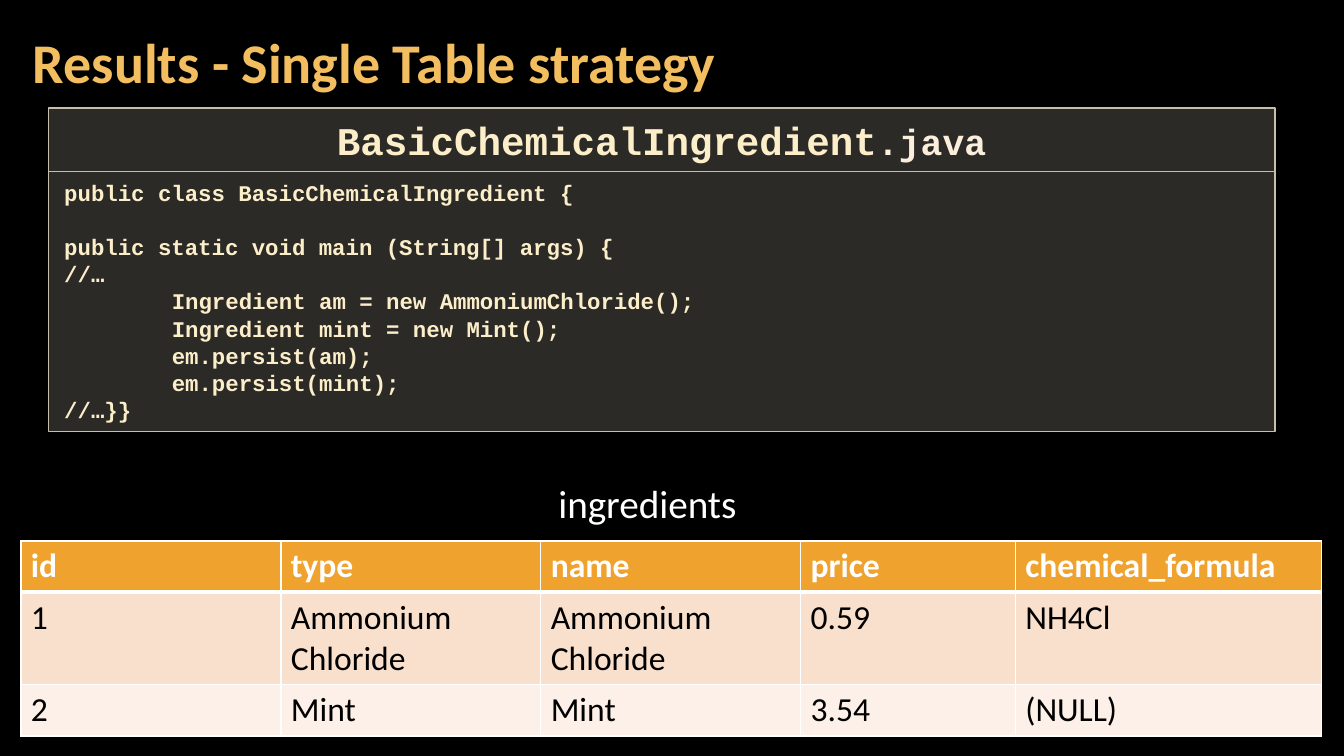
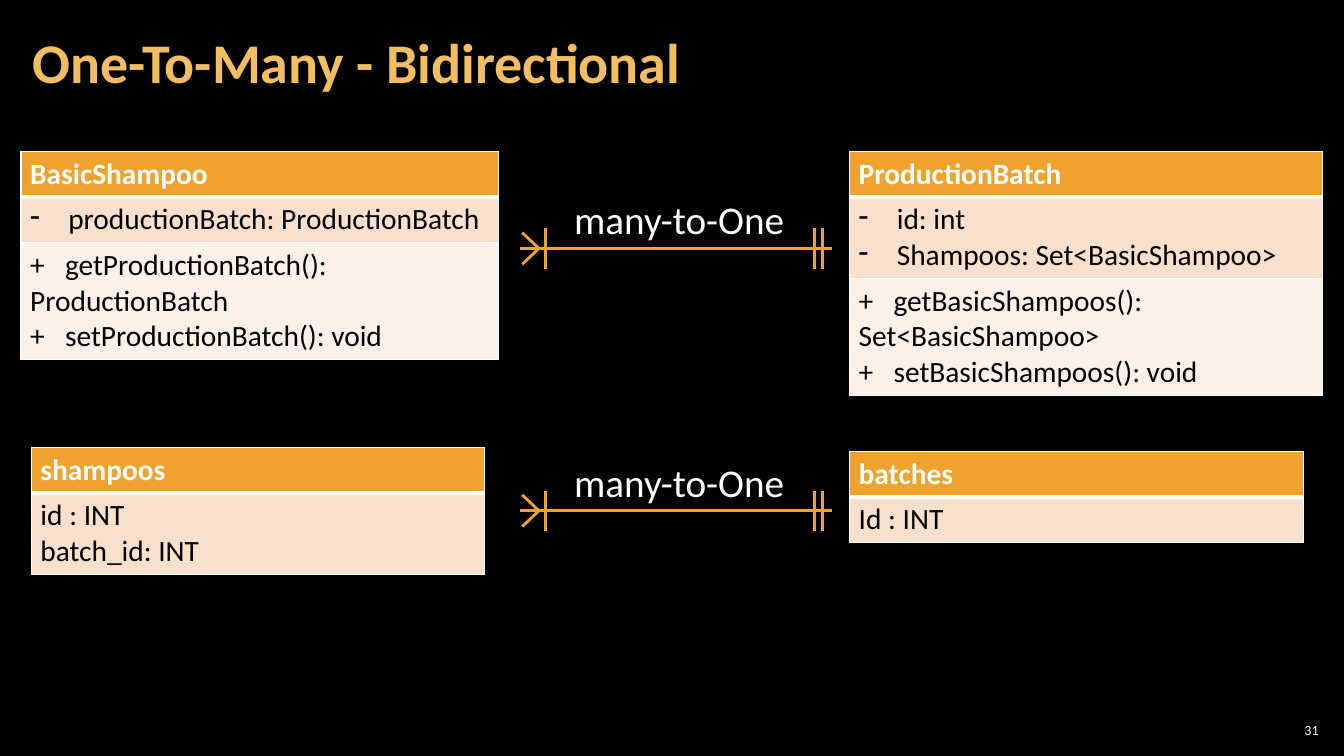
from dataclasses import dataclass

from lxml import etree
from pptx import Presentation
from pptx.dml.color import RGBColor
from pptx.enum.shapes import MSO_CONNECTOR, MSO_SHAPE
from pptx.enum.text import MSO_ANCHOR, MSO_AUTO_SIZE, PP_ALIGN
from pptx.oxml.ns import qn
from pptx.util import Cm, Pt

STRAIGHT = MSO_CONNECTOR.STRAIGHT
RECTANGLE = MSO_SHAPE.RECTANGLE
TOP, MIDDLE = MSO_ANCHOR.TOP, MSO_ANCHOR.MIDDLE
LEFT, CENTER, RIGHT = PP_ALIGN.LEFT, PP_ALIGN.CENTER, PP_ALIGN.RIGHT
NO_AUTOFIT = MSO_AUTO_SIZE.NONE
TITLE_ONLY = 5


@dataclass(frozen=True)
class Theme:
    body_font: str = "Calibri"
    code_font: str = "Courier New"
    background: str = "000000"
    title: str = "F3BE60"
    accent: str = "F0A22E"
    light: str = "FFFFFF"
    dark: str = "000000"
    bands: tuple = ("F9E0CD", "FCF0E8")
    panel: str = "D9D5C7"
    panel_opacity: int = 20
    panel_line: str = "C7BFAC"
    code: str = "FBEEC9"
    code_suffix: str = "FBEEDC"
    title_size: int = 40
    label_size: int = 28
    suffix_size: int = 26
    table_size: int = 24
    class_size: int = 21
    code_size: int = 16
    code_pitch: float = 19.3
    number_size: int = 10


def set_font(font, name, size, color, bold=False):
    font.name = name
    font.size = Pt(size)
    font.bold = bold
    font.color.rgb = RGBColor.from_string(color)


def set_frame(frame, horizontal, vertical, anchor=TOP):
    frame.word_wrap = True
    frame.auto_size = NO_AUTOFIT
    frame.margin_left = frame.margin_right = Cm(horizontal)
    frame.margin_top = frame.margin_bottom = Cm(vertical)
    frame.vertical_anchor = anchor


def paragraphs_for(frame, items):
    for index, item in enumerate(items):
        paragraph = frame.paragraphs[0] if index == 0 else frame.add_paragraph()
        yield paragraph, item


def write_member(paragraph, text):
    properties = paragraph._p.get_or_add_pPr()
    if text.startswith("- "):
        properties.set("marL", str(Cm(0.96)))
        properties.set("indent", str(-Cm(0.96)))
        etree.SubElement(properties, qn("a:buChar"), char="-")
        text = text[2:]
    elif text.startswith("+ "):
        stops = etree.SubElement(properties, qn("a:tabLst"))
        etree.SubElement(stops, qn("a:tab"), pos=str(Cm(0.88)), algn="l")
        text = text.replace(" ", "\t", 1)
    paragraph.text = text


def set_border(cell, side, width, color):
    properties = cell._tc.get_or_add_tcPr()
    line = etree.SubElement(properties, qn(f"a:ln{side}"), w=str(Pt(width)))
    fill = etree.SubElement(line, qn("a:solidFill"))
    etree.SubElement(fill, qn("a:srgbClr"), val=color)


class Deck:
    def __init__(self, theme):
        self.theme = theme
        self.presentation = Presentation()
        self.presentation.slide_width = Cm(33.87)
        self.presentation.slide_height = Cm(19.05)
        fill = self.presentation.slide_master.background.fill
        fill.solid()
        fill.fore_color.rgb = RGBColor.from_string(theme.background)
        self.slide = None

    def add_slide(self, title, number):
        theme = self.theme
        layout = self.presentation.slide_layouts[TITLE_ONLY]
        self.slide = self.presentation.slides.add_slide(layout)
        shape = self.slide.shapes.title
        shape.left, shape.top = Cm(0.53), Cm(0.1)
        shape.width, shape.height = Cm(26.6), Cm(3.07)
        set_frame(shape.text_frame, 0.3, 0.1, MIDDLE)
        paragraph = shape.text_frame.paragraphs[0]
        paragraph.text = title
        paragraph.alignment = LEFT
        paragraph.line_spacing = 0.9
        set_font(paragraph.font, theme.body_font, theme.title_size, theme.title, True)
        frame = self.add_text(str(number), 32.13, 18.14, 1.2, 0.53, theme.number_size)
        set_frame(frame, 0.1, 0.1, MIDDLE)
        frame.paragraphs[0].alignment = RIGHT

    def add_text(self, text, left, top, width, height, size):
        shape = self.slide.shapes.add_textbox(Cm(left), Cm(top), Cm(width), Cm(height))
        set_frame(shape.text_frame, 0.25, 0.13)
        paragraph = shape.text_frame.paragraphs[0]
        paragraph.text = text
        set_font(paragraph.font, self.theme.body_font, size, self.theme.light)
        return shape.text_frame

    def add_panel(self, left, top, width, height):
        theme = self.theme
        shape = self.slide.shapes.add_shape(
            RECTANGLE, Cm(left), Cm(top), Cm(width), Cm(height))
        shape.shadow.inherit = False
        shape.fill.solid()
        shape.fill.fore_color.rgb = RGBColor.from_string(theme.panel)
        color = shape._element.spPr.find(qn("a:solidFill"))[0]
        etree.SubElement(color, qn("a:alpha"), val=str(theme.panel_opacity * 1000))
        shape.line.color.rgb = RGBColor.from_string(theme.panel_line)
        shape.line.width = Pt(1)
        set_frame(shape.text_frame, 0.4, 0.2)
        return shape.text_frame

    def add_code(self, name, suffix, lines, left, top, width, heights):
        theme = self.theme
        header_height, body_height = heights
        body = self.add_panel(left, top + header_height, width, body_height)
        for paragraph, (text, indent, skipped) in paragraphs_for(body, lines):
            paragraph.text = text
            paragraph.alignment = LEFT
            paragraph.line_spacing = Pt(theme.code_pitch)
            paragraph.space_before = Pt(skipped * theme.code_pitch)
            paragraph._p.get_or_add_pPr().set("marL", str(Cm(indent)))
            set_font(paragraph.font, theme.code_font, theme.code_size, theme.code, True)
        header = self.add_panel(left, top, width, header_height)
        paragraph = header.paragraphs[0]
        paragraph.alignment = CENTER
        for text, size, color in (
            (name, theme.label_size, theme.code),
            (suffix, theme.suffix_size, theme.code_suffix),
        ):
            run = paragraph.add_run()
            run.text = text
            set_font(run.font, theme.code_font, size, color, True)

    def add_table(self, rows, left, top, widths, heights, size, margins):
        theme = self.theme
        table = self.slide.shapes.add_table(
            len(rows), len(widths), Cm(left), Cm(top),
            Cm(sum(widths)), Cm(sum(heights))).table
        for column, width in zip(table.columns, widths):
            column.width = Cm(width)
        for row_index, (row, height) in enumerate(zip(rows, heights)):
            table.rows[row_index].height = Cm(height)
            for column_index, text in enumerate(row):
                cell = table.cell(row_index, column_index)
                self.fill_cell(cell, text, row_index, size, margins)

    def fill_cell(self, cell, text, row_index, size, margins):
        theme = self.theme
        is_header = row_index == 0
        background = theme.accent if is_header else theme.bands[(row_index - 1) % 2]
        color = theme.light if is_header else theme.dark
        border_widths = {
            "L": 1, "R": 1,
            "T": 3 if row_index == 1 else 1,
            "B": 3 if is_header else 1,
        }
        for side, width in border_widths.items():
            set_border(cell, side, width, theme.light)
        cell.fill.solid()
        cell.fill.fore_color.rgb = RGBColor.from_string(background)
        cell.margin_left = cell.margin_right = Cm(margins[0])
        cell.margin_top = cell.margin_bottom = Cm(margins[1])
        for paragraph, line in paragraphs_for(cell.text_frame, text.split("\n")):
            write_member(paragraph, line)
            set_font(paragraph.font, theme.body_font, size, color, is_header)

    def add_class(self, name, sections, left, top, width):
        rows = [[text] for text in (name, *sections)]
        heights = (1.07, 1.14, 2.64)[:len(rows)]
        self.add_table(rows, left, top, [width], heights,
                       self.theme.class_size, (0.23, 0.12))

    def add_line(self, start_x, start_y, end_x, end_y):
        connector = self.slide.shapes.add_connector(
            STRAIGHT, Cm(start_x), Cm(start_y), Cm(end_x), Cm(end_y))
        connector.line.color.rgb = RGBColor.from_string(self.theme.accent)
        connector.line.width = Pt(2)
        etree.SubElement(connector._element.spPr, qn("a:effectLst"))

    def add_relation(self, text, y):
        self.add_line(13.11, y, 20.96, y)
        for offset in (-0.4, 0.4):
            self.add_line(13.58, y, 13.16, y + offset)
        for x in (13.74, 20.52, 20.73):
            self.add_line(x, y - 0.51, x, y + 0.51)
        self.add_text(text, 14.22, y - 1.46, 5.9, 1.45, self.theme.label_size)

    def save(self):
        self.presentation.save("out.pptx")


def build_single_table(deck):
    deck.add_slide("Results - Single Table strategy", 10)
    deck.add_table(
        [
            ["id", "type", "name", "price", "chemical_formula"],
            ["1", "Ammonium Chloride", "Ammonium Chloride", "0.59", "NH4Cl"],
            ["2", "Mint", "Mint", "3.54", "(NULL)"],
        ],
        0.53, 13.63, [6.55, 6.55, 6.55, 5.41, 7.72], [1.04] * 3,
        deck.theme.table_size, (0.25, 0.13))
    indent = 2.71
    code_lines = [
        ("public class BasicChemicalIngredient {", 0, 0),
        ("public static void main (String[] args) {", 0, 1),
        ("//…", 0, 0),
        ("Ingredient am = new AmmoniumChloride();", indent, 0),
        ("Ingredient mint = new Mint();", indent, 0),
        ("em.persist(am);", indent, 0),
        ("em.persist(mint);", indent, 0),
        ("//…}}", 0, 0),
    ]
    deck.add_code("BasicChemicalIngredient", ".java", code_lines,
                  1.22, 2.72, 30.91, (1.6, 6.55))
    deck.add_text("ingredients", 13.82, 11.96, 5.08, 1.45, deck.theme.label_size)


def build_one_to_many(deck):
    deck.add_slide("One-To-Many - Bidirectional", 31)
    right_column = 21.41
    deck.add_class(
        "BasicShampoo",
        ["- productionBatch: ProductionBatch",
         "+ getProductionBatch(): ProductionBatch\n+ setProductionBatch(): void"],
        0.53, 3.81, 12.04)
    deck.add_class(
        "ProductionBatch",
        ["- id: int\n- Shampoos: Set<BasicShampoo>",
         "+ getBasicShampoos(): Set<BasicShampoo>\n+ setBasicShampoos(): void"],
        right_column, 3.81, 11.91)
    deck.add_class("shampoos", ["id : INT\nbatch_id: INT"], 0.79, 11.28, 11.43)
    deck.add_class("batches", ["Id : INT"], right_column, 11.38, 11.43)
    for y in (6.26, 12.87):
        deck.add_relation("many-to-One", y)


def main():
    deck = Deck(Theme())
    build_single_table(deck)
    build_one_to_many(deck)
    deck.save()


if __name__ == "__main__":
    main()
